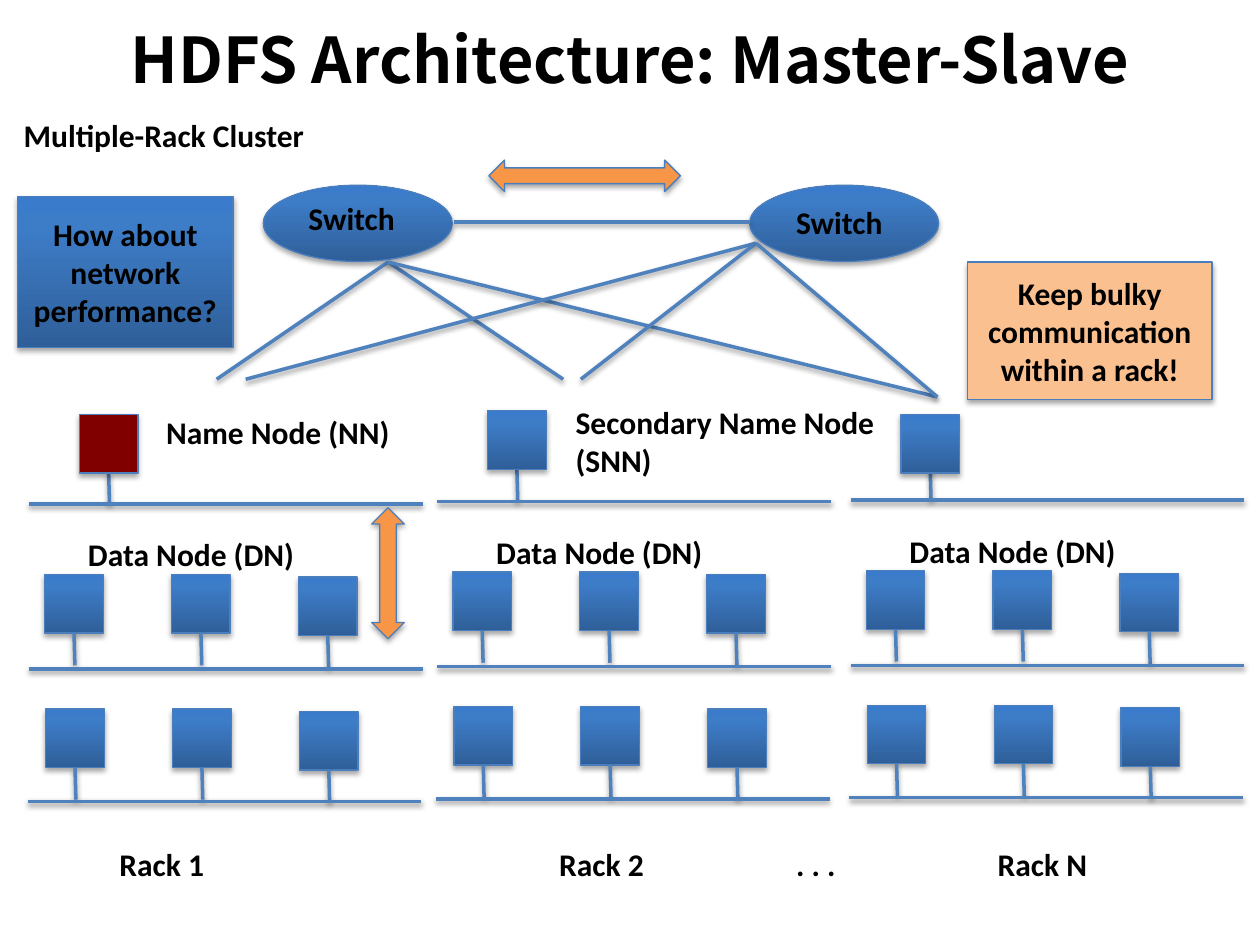
from copy import deepcopy
from dataclasses import dataclass

from lxml import etree
from pptx import Presentation
from pptx.dml.color import RGBColor
from pptx.enum.shapes import MSO_CONNECTOR, MSO_SHAPE
from pptx.enum.text import MSO_ANCHOR, MSO_AUTO_SIZE, PP_ALIGN
from pptx.oxml.ns import qn
from pptx.util import Inches, Pt

RECTANGLE, OVAL = MSO_SHAPE.RECTANGLE, MSO_SHAPE.OVAL
VERTICAL_ARROW = MSO_SHAPE.UP_DOWN_ARROW
HORIZONTAL_ARROW = MSO_SHAPE.LEFT_RIGHT_ARROW
STRAIGHT = MSO_CONNECTOR.STRAIGHT
CENTER, LEFT = PP_ALIGN.CENTER, PP_ALIGN.LEFT
MIDDLE, TOP = MSO_ANCHOR.MIDDLE, MSO_ANCHOR.TOP
GROW, FIXED = MSO_AUTO_SIZE.SHAPE_TO_FIT_TEXT, MSO_AUTO_SIZE.NONE

# The slide is a grid of 100 columns by 75 rows; all lengths are in its cells
CELL = Inches(0.1)
COLUMNS, ROWS = 100, 75


@dataclass(frozen=True)
class Theme:
    title_font: str = "Noto Sans CJK SC"
    body_font: str = "Calibri"
    title_size: int = 36
    body_size: int = 18
    text: str = "000000"
    outline: str = "4B7EBC"
    link: str = "4F81BD"
    name_node: str = "800000"
    arrow: str = "F79646"
    advice: str = "FAC090"
    gradient: tuple = ((0, "2F5F99"), (0.8, "3D7CC7"), (1, "3A7CCB"))
    outline_width: float = 0.75
    link_width: float = 2


THEME = Theme()
NODE_SIZE = 4.65
STEM_LENGTH = 2.55
NODE_PITCH = 10.07
BUS_LENGTH = 31.25
# Column and row shift, master node top, name and label column of each rack
RACKS = [
    (0, 0, 32.9, "Rack 1", 8.5),
    (32.4, -0.2, 32.6, "Rack 2", 43.4),
    (65.2, -0.3, 32.9, "Rack N", 78.2),
]


def cells(*lengths):
    return [round(length * CELL) for length in lengths]


def add_shadow(shape, opacity, distance):
    properties = shape._element.spPr
    effects = properties.find(qn("a:effectLst"))
    if effects is None:
        effects = etree.SubElement(properties, qn("a:effectLst"))
    shadow = etree.SubElement(
        effects, qn("a:outerShdw"), blurRad=str(Pt(3.1)),
        dist=str(Pt(distance)), dir="5400000", rotWithShape="0")
    color = etree.SubElement(shadow, qn("a:srgbClr"), val="000000")
    etree.SubElement(color, qn("a:alpha"), val=str(opacity * 1000))


def fill_with_gradient(shape):
    shape.fill.gradient()
    shape.fill.gradient_angle = 90
    stop_list = shape._element.spPr.find(".//" + qn("a:gsLst"))
    stop_list.append(deepcopy(stop_list[-1]))
    for stop, (position, color) in zip(shape.fill.gradient_stops, THEME.gradient):
        stop.position = position
        stop.color.rgb = RGBColor.from_string(color)


def write_text(shape, text, alignment=LEFT, anchor=TOP,
               size=THEME.body_size, font=THEME.body_font):
    frame = shape.text_frame
    frame.word_wrap = True
    frame.vertical_anchor = anchor
    paragraph = frame.paragraphs[0]
    paragraph.alignment = alignment
    run = paragraph.add_run()
    run.text = text
    run.font.size = Pt(size)
    run.font.name = font
    run.font.bold = True
    run.font.color.rgb = RGBColor.from_string(THEME.text)


def add_label(slide, text, left, top, width, height=4, auto_size=GROW, **style):
    box = slide.shapes.add_textbox(*cells(left, top, width, height))
    write_text(box, text, **style)
    box.text_frame.auto_size = auto_size


def add_block(slide, kind, left, top, width, height, color=None, text=None):
    shape = slide.shapes.add_shape(kind, *cells(left, top, width, height))
    if color:
        shape.fill.solid()
        shape.fill.fore_color.rgb = RGBColor.from_string(color)
    else:
        fill_with_gradient(shape)
    shape.line.color.rgb = RGBColor.from_string(THEME.outline)
    shape.line.width = Pt(THEME.outline_width)
    shape.shadow.inherit = False
    add_shadow(shape, 35, 1.8)
    if text:
        write_text(shape, text, alignment=CENTER, anchor=MIDDLE)


def add_link(slide, start, end):
    link = slide.shapes.add_connector(STRAIGHT, *cells(*start, *end))
    link.line.color.rgb = RGBColor.from_string(THEME.link)
    link.line.width = Pt(THEME.link_width)
    add_shadow(link, 38, 1.6)


def add_stem(slide, left, top):
    middle = left + NODE_SIZE / 2
    add_link(slide, (middle, top), (middle + 0.07, top + STEM_LENGTH))


def add_rack(slide, shift_x, shift_y, master_top, name, name_left):
    # Master node on the top bus
    master_left = 6.3 + shift_x
    master_color = None if shift_x else THEME.name_node
    add_stem(slide, master_left, 37.5 + shift_y)
    add_block(slide, RECTANGLE, master_left, master_top, NODE_SIZE, NODE_SIZE,
              master_color)

    # Two rows of data nodes; the last node of a row sits slightly lower
    for row_left, row_top in ((3.55, 45.6), (3.63, 56.27)):
        for column in range(3):
            left = row_left + shift_x + column * NODE_PITCH
            top = row_top + shift_y + (0.2 if column == 2 else 0)
            add_block(slide, RECTANGLE, left, top, NODE_SIZE, NODE_SIZE)
            add_stem(slide, left, top + NODE_SIZE)

    # Buses
    for bus_left, bus_top in ((2.3, 40), (2.3, 53.1), (2.2, 63.6)):
        start = bus_left + shift_x, bus_top + shift_y
        add_link(slide, start, (start[0] + BUS_LENGTH, start[1]))

    add_label(slide, "Data Node (DN)", 6 + shift_x, 42 + shift_y, 21)
    add_label(slide, name, name_left, 66.6, 10.6)


def add_network(slide):
    # Switches
    for left in (20.9, 59.5):
        add_block(slide, OVAL, left, 14.7, 15, 6.05)
    add_label(slide, "Switch", 23.5, 15.3, 9.7)
    add_label(slide, "Switch", 62.2, 15.6, 10.6)

    # Links between the switches and down to the racks
    add_link(slide, (36, 17.6), (59.5, 17.6))
    uplinks = {
        (30.8, 20.8): ((17.2, 30.1), (44.7, 30.1), (74.4, 31.5)),
        (60, 19.3): ((19.5, 30.1), (46.1, 30.1), (74.4, 31.5)),
    }
    for switch, racks in uplinks.items():
        for rack in racks:
            add_link(slide, switch, rack)


def main():
    presentation = Presentation()
    presentation.slide_width, presentation.slide_height = cells(COLUMNS, ROWS)
    slide = presentation.slides.add_slide(presentation.slide_layouts[6])

    # Headings
    add_label(slide, "HDFS Architecture: Master-Slave", 5, -1.6, 90, 12.5,
              auto_size=FIXED, alignment=CENTER, anchor=MIDDLE,
              size=THEME.title_size, font=THEME.title_font)
    add_label(slide, "Multiple-Rack Cluster", 0.9, 8.7, 25.3)

    # Racks
    for rack in RACKS:
        add_rack(slide, *rack)
    add_label(slide, "Name Node (NN)", 12.2, 32.3, 21)
    add_label(slide, "Secondary Name Node (SNN)", 44.7, 31.5, 32.1, 7.1)
    add_label(slide, ". . .", 62.2, 66.6, 6.7)

    add_network(slide)

    # Traffic arrows and callouts
    add_block(slide, VERTICAL_ARROW, 29.5, 40.3, 2.6, 10.4, THEME.arrow)
    add_block(slide, RECTANGLE, 76.8, 20.8, 19.4, 10.9, THEME.advice,
              "Keep bulky communication within a rack!")
    add_block(slide, RECTANGLE, 1.4, 15.6, 17.1, 12,
              text="How about network performance?")
    add_block(slide, HORIZONTAL_ARROW, 38.8, 12.7, 15.2, 2.5, THEME.arrow)

    presentation.save("out.pptx")


if __name__ == "__main__":
    main()
